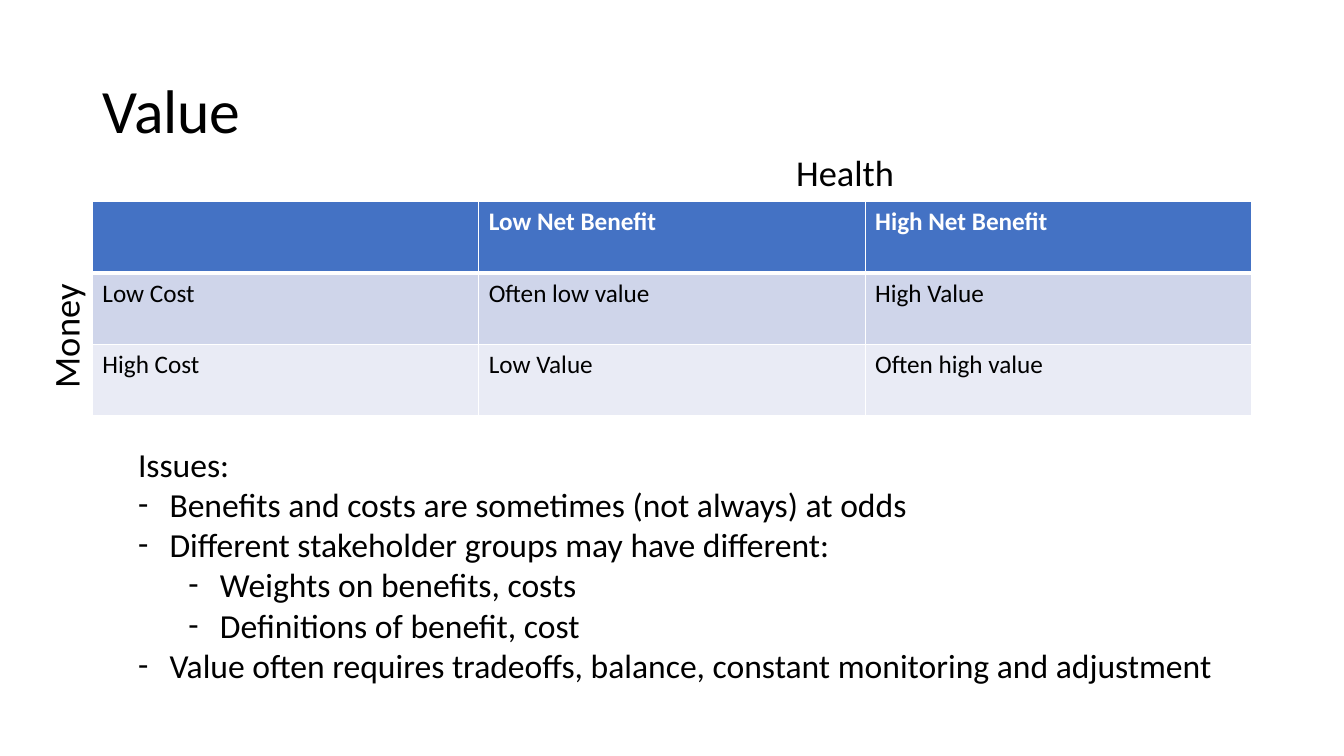
from lxml import etree
from pptx import Presentation
from pptx.dml.color import RGBColor
from pptx.enum.text import MSO_ANCHOR, MSO_AUTO_SIZE, PP_ALIGN
from pptx.oxml.ns import qn
from pptx.util import Pt

MIDDLE = MSO_ANCHOR.MIDDLE
NO_RESIZE = MSO_AUTO_SIZE.NONE
LEFT = PP_ALIGN.LEFT
BLACK = RGBColor(0x00, 0x00, 0x00)
WHITE = RGBColor(0xFF, 0xFF, 0xFF)
HEADER_BLUE = RGBColor(0x44, 0x72, 0xC4)
BAND_DARK = RGBColor(0xCF, 0xD5, 0xEA)
BAND_LIGHT = RGBColor(0xE9, 0xEB, 0xF5)


def add_span(para, text, size, color=BLACK, bold=False):
    span = para.add_run()
    span.text = text
    span.font.name = "Calibri"
    span.font.size = Pt(size)
    span.font.bold = bold
    span.font.color.rgb = color


def add_border(cell, side, width):
    properties = cell._tc.get_or_add_tcPr()
    line = etree.SubElement(properties, qn(f"a:ln{side}"), w=str(Pt(width)))
    fill = etree.SubElement(line, qn("a:solidFill"))
    etree.SubElement(fill, qn("a:srgbClr"), val=str(WHITE))


deck = Presentation()
deck.slide_width = Pt(960)
deck.slide_height = Pt(540)
page = deck.slides.add_slide(deck.slide_layouts[5])

title = page.shapes.title
title.left, title.top, title.width, title.height = Pt(66), Pt(28.75), Pt(828), Pt(104.4)
title.text_frame.auto_size = NO_RESIZE
title.text_frame.vertical_anchor = MIDDLE
title_para = title.text_frame.paragraphs[0]
title_para.alignment = LEFT
title_para.line_spacing = 0.9
add_span(title_para, "Value", 44)

rows = [
    ("", "Low Net Benefit", "High Net Benefit"),
    ("Low Cost", "Often low value", "High Value"),
    ("High Cost", "Low Value", "Often high value"),
]
row_fills = [HEADER_BLUE, BAND_DARK, BAND_LIGHT]
table = page.shapes.add_table(3, 3, Pt(66), Pt(144), Pt(828), Pt(153)).table
for row_index, (texts, row_fill) in enumerate(zip(rows, row_fills)):
    is_header = row_index == 0
    for column_index, text in enumerate(texts):
        cell = table.cell(row_index, column_index)
        for side in "LRTB":
            heavy = (row_index, side) in [(0, "B"), (1, "T")]
            add_border(cell, side, 3 if heavy else 1)
        cell.fill.solid()
        cell.fill.fore_color.rgb = row_fill
        if text:
            color = WHITE if is_header else BLACK
            add_span(cell.text_frame.paragraphs[0], text, 18, color, is_header)

axis_labels = [("Health", 561.6, 103.7, 0), ("Money", -52.5, 165.6, 270)]
for text, left, top, rotation in axis_labels:
    box = page.shapes.add_textbox(Pt(left), Pt(top), Pt(198.7), Pt(38.9))
    box.rotation = rotation
    box.text_frame.word_wrap = True
    add_span(box.text_frame.paragraphs[0], text, 26)

issues = [
    ("Benefits and costs are sometimes (not always) at odds", 0),
    ("Different stakeholder groups may have different:", 0),
    ("Weights on benefits, costs", 1),
    ("Definitions of benefit, cost", 1),
    ("Value often requires tradeoffs, balance, constant monitoring and adjustment", 0),
]
box = page.shapes.add_textbox(Pt(91.5), Pt(313.2), Pt(802.8), Pt(211))
box.text_frame.word_wrap = True
add_span(box.text_frame.paragraphs[0], "Issues:", 24)
for text, level in issues:
    para = box.text_frame.add_paragraph()
    para.level = level
    add_span(para, text, 24)
    properties = para._p.get_or_add_pPr()
    properties.set("marL", str(Pt(22.5 + 36 * level)))
    properties.set("indent", str(Pt(-22.5)))
    etree.SubElement(properties, qn("a:buFont"), typeface="Calibri")
    etree.SubElement(properties, qn("a:buChar"), char="-")

deck.save("out.pptx")
